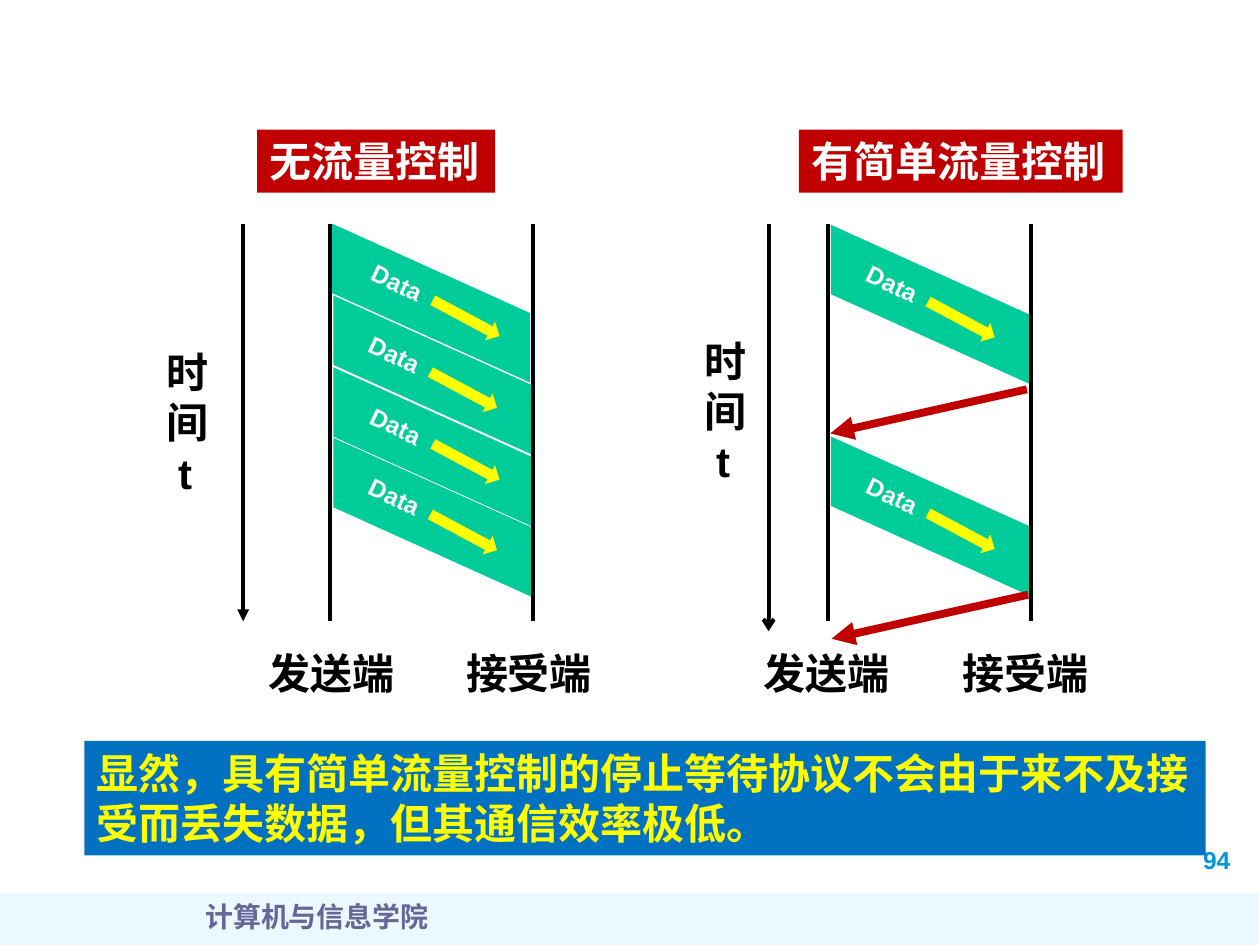
from typing import NamedTuple

from lxml import etree
from pptx import Presentation
from pptx.dml.color import RGBColor
from pptx.enum.shapes import MSO_CONNECTOR, MSO_SHAPE
from pptx.enum.text import MSO_ANCHOR, MSO_AUTO_SIZE, PP_ALIGN
from pptx.oxml.ns import qn
from pptx.util import Inches, Pt

RECT = MSO_SHAPE.RECTANGLE
SLANT = MSO_SHAPE.PARALLELOGRAM
ARROW = MSO_SHAPE.RIGHT_ARROW
LINE = MSO_CONNECTOR.STRAIGHT
LEFT, MID = PP_ALIGN.LEFT, PP_ALIGN.CENTER
TOP = MSO_ANCHOR.TOP
GROW = MSO_AUTO_SIZE.SHAPE_TO_FIT_TEXT
BLACK, WHITE, RED, GREEN = "000000", "FFFFFF", "C00000", "00CC99"
BLUE, YELLOW = "0070C0", "FFFF00"


class Box(NamedTuple):
    x: float
    y: float
    w: float
    h: float


class Band(NamedTuple):
    x: float
    y: float
    text_x: float
    arrow_x: float


class Panel(NamedTuple):
    title: str
    head: Box
    sender: float
    send_x: float
    recv_x: float
    time: Box
    bands: tuple


PANELS = (
    Panel("无流量控制", Box(2.04, 1.03, 1.89, 0.5), 2.62, 2.03, 3.6,
          Box(1.22, 2.7, 0.5, 1.31),
          (Band(2.79, 1.62, 2.84, 3.4), Band(2.8, 2.19, 2.82, 3.38),
           Band(2.8, 2.76, 2.83, 3.4), Band(2.8, 3.32, 2.82, 3.38))),
    Panel("有简单流量控制", Box(6.34, 1.03, 2.57, 0.5), 6.57, 5.96, 7.54,
          Box(5.49, 2.61, 0.5, 1.31),
          (Band(6.75, 1.63, 6.77, 7.33), Band(6.75, 3.31, 6.77, 7.33))),
)
START, END = 1.78, 4.93  # time span of the vertical lines
GAP = 1.61  # from sender to receiver

prs = Presentation()
prs.slide_width, prs.slide_height = Inches(10), Inches(7.5)
slide = prs.slides.add_slide(prs.slide_layouts[6])


def color(code: str) -> RGBColor:
    return RGBColor.from_string(code)


def place(box: Box) -> list:
    return [Inches(v) for v in box]


def shape(kind, box: Box, fill: str, turn: float = 0, adj: tuple = ()):
    item = slide.shapes.add_shape(kind, *place(box))
    item.shadow.inherit = False
    item.fill.solid()
    item.fill.fore_color.rgb = color(fill)
    item.line.fill.background()
    item.rotation = turn
    for i, value in enumerate(adj):
        item.adjustments[i] = value
    return item


def write(item, lines: tuple, size: float = 24, ink: str = BLACK,
          align=LEFT, wrap: bool = True, font: str = "Arial") -> None:
    frame = item.text_frame
    frame.word_wrap = wrap
    frame.auto_size = GROW
    frame.vertical_anchor = TOP
    for i, line in enumerate(lines):
        para = frame.add_paragraph() if i else frame.paragraphs[0]
        para.alignment = align
        run = para.add_run()
        run.text = line
        run.font.size = Pt(size)
        run.font.name = font
        run.font.bold = True
        run.font.color.rgb = color(ink)


def label(box: Box, *lines: str, turn: float = 0, **style) -> None:
    item = slide.shapes.add_textbox(*place(box))
    item.rotation = turn
    write(item, lines, **style)


def line(x1: float, y1: float, x2: float, y2: float, ink: str = BLACK,
         width: float = 2.25, tip: str = "") -> None:
    item = slide.shapes.add_connector(
        LINE, Inches(x1), Inches(y1), Inches(x2), Inches(y2))
    item.line.color.rgb = color(ink)
    item.line.width = Pt(width)
    if tip:
        etree.SubElement(item.line._get_or_add_ln(), qn("a:tailEnd"), type=tip)
    etree.SubElement(item._element.spPr, qn("a:effectLst"))


def draw_band(band: Band) -> None:
    shape(SLANT, Box(band.x, band.y, 1.26, 1.57), GREEN, 90, (0.563,))
    label(Box(band.text_x, band.y + 0.46, 0.65, 0.34), "Data",
          turn=25.5, size=14, ink=WHITE)
    shape(ARROW, Box(band.arrow_x, band.y + 0.82, 0.6, 0.17),
          YELLOW, 28.2, (0.5, 0.5))


def draw_panel(panel: Panel) -> None:
    write(shape(RECT, panel.head, RED), (panel.title,), ink=WHITE, wrap=False)
    for x in (panel.sender, panel.sender + GAP):
        line(x, START, x, END)
    for x, name in ((panel.send_x, "发送端"), (panel.recv_x, "接受端")):
        label(Box(x, 5.09, 1.22, 0.5), name, wrap=False)
    label(panel.time, "时间", "t", align=MID)
    for band in panel.bands:
        draw_band(band)


# Footer strip and page number
strip = shape(RECT, Box(-0.01, 7.09, 10, 0.44), "A7E2FF")
tint = strip._element.spPr.find(qn("a:solidFill"))[0]
etree.SubElement(tint, qn("a:alpha"), val="21000")
label(Box(9.45, 6.66, 0.59, 0.33), "94", size=14, ink="0094DE")
label(Box(0.27, 7.09, 4.49, 0.5), "计算机与信息学院", size=16,
      ink="666699", align=MID, font="Times New Roman")

# Both diagrams
for panel in PANELS:
    draw_panel(panel)

# Time axes, the right one in stages
line(1.93, START, 1.93, END, tip="triangle")
for y1, y2, tip in ((START, 2.88, ""), (2.88, 3.44, ""),
                    (3.42, 4.52, ""), (4.52, 5.01, "arrow")):
    line(6.1, y1, 6.1, y2, tip=tip)

# Replies from the receiver
for x, y in ((8.15, 3.09), (8.16, 4.72)):
    line(x, y, x - 1.56, y + 0.35, RED, 4.5, "triangle")

# Conclusion
write(shape(RECT, Box(0.67, 5.88, 8.9, 0.91), BLUE),
      ("显然，具有简单流量控制的停止等待协议不会由于来不及接受而丢失数据，"
       "但其通信效率极低。",), ink=YELLOW)

prs.save("out.pptx")
